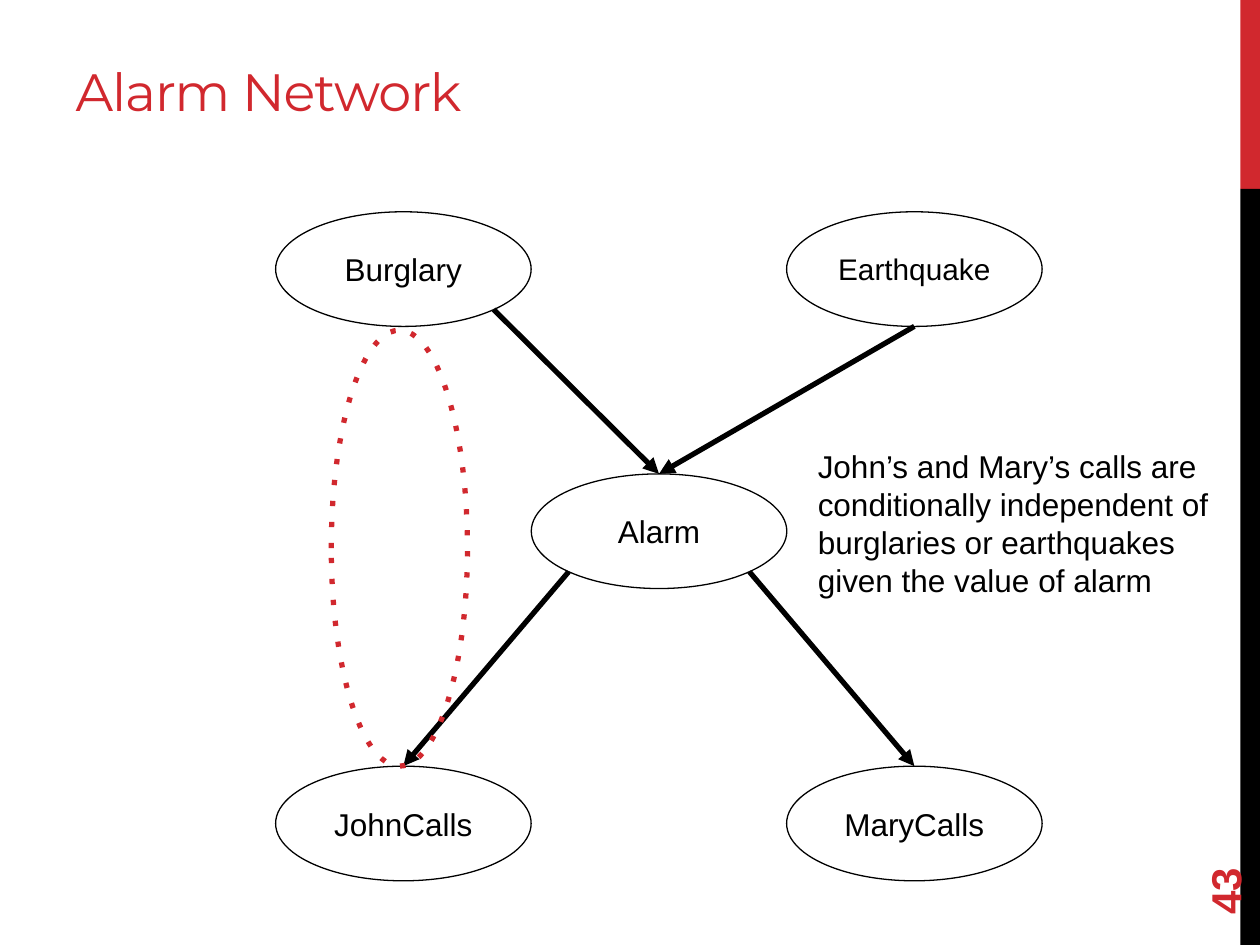
from dataclasses import dataclass
from math import sqrt

from lxml.etree import SubElement
from pptx import Presentation
from pptx.dml.color import RGBColor
from pptx.enum.dml import MSO_LINE
from pptx.enum.shapes import MSO_CONNECTOR, MSO_SHAPE
from pptx.enum.text import MSO_ANCHOR, PP_ALIGN
from pptx.oxml.ns import qn
from pptx.util import Pt

COLORS = {"red": "D1282E", "black": "000000", "white": "FFFFFF"}
NODE_W, NODE_H = 146, 65.5
COLUMNS = (157.5, 303.6, 449.5)
ROWS = (121, 270.8, 437.8)
TOP_SITE = 0


@dataclass
class Node:
    name: str
    col: int
    row: int
    size: float = 18


@dataclass
class Arc:
    """Arrow from a parent's outline to the top of a child; side is -1, 0 or 1."""
    parent: str
    child: str
    side: int


NODES = [
    Node("Burglary", 0, 0),
    Node("Earthquake", 2, 0, 17),
    Node("Alarm", 1, 1),
    Node("JohnCalls", 0, 2),
    Node("MaryCalls", 2, 2),
]
ARCS = [
    Arc("Burglary", "Alarm", 1),
    Arc("Earthquake", "Alarm", 0),
    Arc("Alarm", "JohnCalls", -1),
    Arc("Alarm", "MaryCalls", 1),
]


def rgb(name: str) -> RGBColor:
    return RGBColor.from_string(COLORS[name])


def add_shape(s, kind, x, y, w, h, fill=None, line=None, weight=0.75):
    sp = s.shapes.add_shape(kind, Pt(x), Pt(y), Pt(w), Pt(h))
    sp.shadow.inherit = False
    if fill:
        sp.fill.solid()
        sp.fill.fore_color.rgb = rgb(fill)
    else:
        sp.fill.background()
    if line:
        sp.line.color.rgb = rgb(line)
        sp.line.width = Pt(weight)
    else:
        sp.line.fill.background()
    return sp


def write(sp, text: str, size: float, color="black", font="Arial", bold=False,
          align=PP_ALIGN.LEFT, anchor=MSO_ANCHOR.MIDDLE, inset_y=7.2):
    tf = sp.text_frame
    tf.text = text
    tf.word_wrap = True
    tf.vertical_anchor = anchor
    tf.margin_left = tf.margin_right = Pt(7.2)
    tf.margin_top = tf.margin_bottom = Pt(inset_y)
    p = tf.paragraphs[0]
    p.alignment = align
    r = p.runs[0]
    r.font.name, r.font.size, r.font.bold = font, Pt(size), bold
    r.font.color.rgb = rgb(color)
    return r


def add_node(s, node: Node):
    sp = add_shape(s, MSO_SHAPE.OVAL, COLUMNS[node.col], ROWS[node.row],
                   NODE_W, NODE_H, line="black")
    write(sp, node.name, node.size, align=PP_ALIGN.CENTER)
    return sp


def add_arc(s, parent, child, side: int) -> None:
    reach = 1 / sqrt(2) if side else 1
    x = parent.left + parent.width / 2 * (1 + side * reach)
    y = parent.top + parent.height / 2 * (1 + reach)
    cx = s.shapes.add_connector(MSO_CONNECTOR.STRAIGHT, int(x), int(y), int(x), int(y))
    cx.end_connect(child, TOP_SITE)
    cx.line.color.rgb = rgb("black")
    cx.line.width = Pt(3)
    SubElement(cx.line._get_or_add_ln(), qn("a:tailEnd"), type="triangle")
    SubElement(cx._element.spPr, qn("a:effectLst"))


def main() -> None:
    prs = Presentation()
    prs.slide_width, prs.slide_height = Pt(720), Pt(540)
    s = prs.slides.add_slide(prs.slide_layouts[5])

    add_shape(s, MSO_SHAPE.RECTANGLE, 708.75, 0, 11.25, 108, fill="red")
    add_shape(s, MSO_SHAPE.RECTANGLE, 708.75, 108, 11.25, 432, fill="black")

    title = s.shapes.title
    title.left, title.top, title.width, title.height = Pt(36), Pt(12), Pt(636.5), Pt(61.5)
    r = write(title, "Alarm Network", 30, "red", "Montserrat",
              anchor=MSO_ANCHOR.BOTTOM, inset_y=3.6)
    r.font._element.set("spc", "-60")

    number = s.shapes.add_textbox(Pt(648), Pt(463.5), Pt(103.5), Pt(29))
    number.rotation = 270
    write(number, "43", 24, "red", bold=True, inset_y=3.6)

    ovals = {node.name: add_node(s, node) for node in NODES}
    for arc in ARCS:
        add_arc(s, ovals[arc.parent], ovals[arc.child], arc.side)

    note = add_shape(s, MSO_SHAPE.RECTANGLE, 460.2, 248.5, 247.5, 93.5, fill="white")
    write(note, "John’s and Mary’s calls are conditionally independent of "
          "burglaries or earthquakes given the value of alarm", 18, anchor=MSO_ANCHOR.TOP)

    loop = add_shape(s, MSO_SHAPE.OVAL, 189.3, 188.7, 77.8, 249.1, line="red", weight=3)
    loop.line.dash_style = MSO_LINE.ROUND_DOT
    loop.line.dash_style = MSO_LINE.SQUARE_DOT
    loop.line._get_or_add_ln().find(qn("a:prstDash")).set("val", "dot")

    prs.save("out.pptx")


if __name__ == "__main__":
    main()
